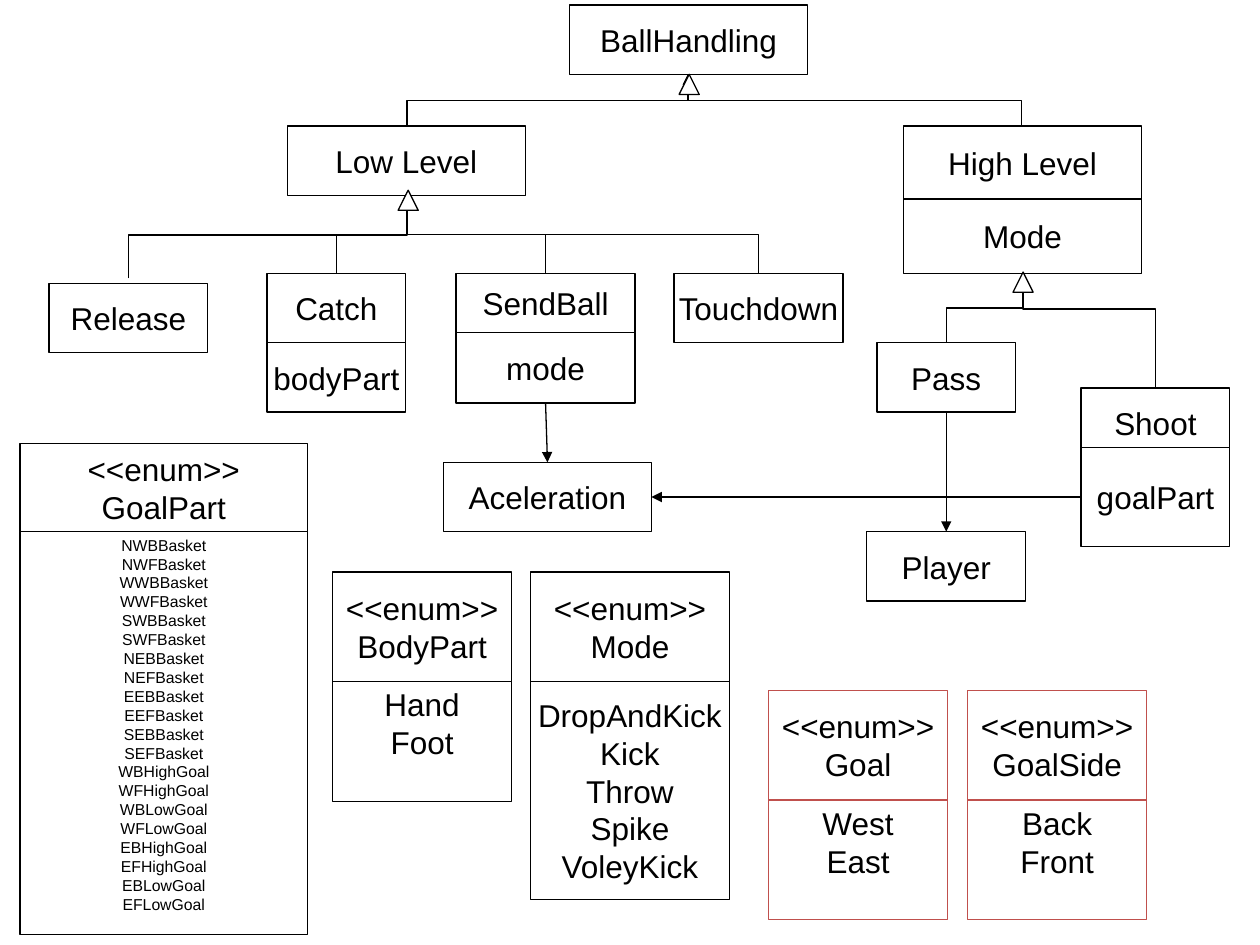
from lxml import etree
from pptx import Presentation
from pptx import util as u
from pptx.dml.color import RGBColor
from pptx.enum import shapes, text
from pptx.oxml.ns import qn

BLACK = RGBColor(0x00, 0x00, 0x00)
WHITE = RGBColor(0xFF, 0xFF, 0xFF)
RED = RGBColor(0xC0, 0x50, 0x4D)
TOP, LEFT, BOTTOM, RIGHT = range(4)
LINE_WIDTH = u.Pt(0.75)
NAME_HEIGHT = 0.55
ARROW_SIZE = 0.16

GOAL_PARTS = """NWBBasket NWFBasket WWBBasket WWFBasket SWBBasket SWFBasket
NEBBasket NEFBasket EEBBasket EEFBasket SEBBasket SEFBasket
WBHighGoal WFHighGoal WBLowGoal WFLowGoal
EBHighGoal EFHighGoal EBLowGoal EFLowGoal""".split()


def write_text(shape, lines, size=18, color=BLACK, anchor=text.MSO_ANCHOR.MIDDLE):
    """Write centred lines, one paragraph each."""
    frame = shape.text_frame
    frame.word_wrap = False
    frame.vertical_anchor = anchor
    if anchor == text.MSO_ANCHOR.TOP:
        frame.margin_top = u.Inches(0.03)
    for index, line in enumerate(lines):
        paragraph = frame.paragraphs[0] if index == 0 else frame.add_paragraph()
        paragraph.alignment = text.PP_ALIGN.CENTER
        paragraph.line_spacing = u.Pt(size * 1.2)
        run = paragraph.add_run()
        run.text = line
        run.font.name = "Arial"
        run.font.size = u.Pt(size)
        run.font.color.rgb = color


def add_outlined(slide, kind, left, top, width, height, color=BLACK):
    """Add a white shape with a thin outline."""
    shape = slide.shapes.add_shape(kind, *map(u.Inches, (left, top, width, height)))
    shape.shadow.inherit = False
    shape.fill.solid()
    shape.fill.fore_color.rgb = WHITE
    shape.line.color.rgb = color
    shape.line.width = LINE_WIDTH
    return shape


def add_compartment(slide, left, top, width, height, lines, color=BLACK, **text_format):
    rectangle = add_outlined(slide, shapes.MSO_SHAPE.RECTANGLE,
                             left, top, width, height, color)
    write_text(rectangle, lines, **text_format)
    return rectangle


def add_class(slide, left, top, width, name, attribute=None,
              heights=(NAME_HEIGHT, NAME_HEIGHT), overlap=0):
    """Add a class box and return its lowest compartment."""
    box = add_compartment(slide, left, top, width, heights[0], [name])
    if attribute:
        box = add_compartment(slide, left, top + heights[0] - overlap, width,
                              heights[1], [attribute])
    return box


def add_enum(slide, left, top, width, name, values, heights,
             color=BLACK, **value_format):
    add_compartment(slide, left, top, width, heights[0], ["<<enum>>", name], color)
    add_compartment(slide, left, top + heights[0], width, heights[1], values,
                    color, **value_format)


def style_connector(connector):
    """Thin black line with an arrowhead and no shadow."""
    connector.line.color.rgb = BLACK
    connector.line.width = LINE_WIDTH
    etree.SubElement(connector.line._get_or_add_ln(), qn("a:tailEnd"), type="triangle")
    etree.SubElement(connector._element.spPr, qn("a:effectLst"))


def add_association(slide, source, source_side, target, target_side):
    connector = slide.shapes.add_connector(shapes.MSO_CONNECTOR.STRAIGHT, 0, 0, 0, 0)
    connector.begin_connect(source, source_side)
    connector.end_connect(target, target_side)
    style_connector(connector)


def add_generalization(slide, child_x, child_y, parent_x, parent_y, bend=0.5):
    """Elbow that leaves the child upwards: a turned box with swapped sides."""
    length, spread = child_y - parent_y, abs(child_x - parent_x)
    left = (child_x + parent_x - length) / 2
    top = (child_y + parent_y - spread) / 2
    begin_x, end_x, turn = left, left + length, 270
    if child_x < parent_x:
        begin_x, end_x, turn = end_x, begin_x, 90
    connector = slide.shapes.add_connector(
        shapes.MSO_CONNECTOR.ELBOW,
        *map(u.Inches, (begin_x, top + spread, end_x, top)))
    properties = connector._element.spPr
    properties.find(qn("a:xfrm")).set("rot", str(turn * 60000))
    geometry = properties.find(qn("a:prstGeom"))
    guides = geometry.find(qn("a:avLst"))
    if guides is None:
        guides = etree.SubElement(geometry, qn("a:avLst"))
    etree.SubElement(guides, qn("a:gd"), name="adj1",
                     fmla=f"val {round(bend * 100000)}")
    style_connector(connector)


def add_inheritance_arrow(slide, center_x, top):
    add_outlined(slide, shapes.MSO_SHAPE.FLOWCHART_EXTRACT,
                 center_x - ARROW_SIZE / 2, top, ARROW_SIZE, ARROW_SIZE)


def build_enums(slide):
    at_top = text.MSO_ANCHOR.TOP
    short = (0.87, 0.95)
    add_enum(slide, 2.64, 4.54, 1.42, "BodyPart", ["Hand", "Foot"], short, anchor=at_top)
    add_enum(slide, 4.21, 4.54, 1.58, "Mode",
             ["DropAndKick", "Kick", "Throw", "Spike", "VoleyKick"], (0.87, 1.73))
    add_enum(slide, 0.16, 3.52, 2.28, "GoalPart", GOAL_PARTS, (0.7, 3.2),
             size=9, anchor=at_top)
    add_enum(slide, 6.1, 5.48, 1.42, "Goal", ["West", "East"], short, RED, anchor=at_top)
    add_enum(slide, 7.68, 5.48, 1.42, "GoalSide", ["Back", "Front"], short, RED,
             anchor=at_top)


def build_hierarchy(slide):
    # Classes
    add_class(slide, 4.52, 0.04, 1.89, "BallHandling")
    add_class(slide, 2.28, 1, 1.89, "Low Level")
    add_class(slide, 0.39, 2.25, 1.26, "Release")
    add_class(slide, 2.12, 2.17, 1.1, "Catch", "bodyPart")
    send_ball = add_class(slide, 3.62, 2.17, 1.42, "SendBall", "mode", (0.47, 0.56))
    passing = add_class(slide, 6.96, 2.72, 1.1, "Pass")
    player = add_class(slide, 6.88, 4.22, 1.26, "Player")
    add_class(slide, 5.35, 2.17, 1.34, "Touchdown")
    shoot = add_class(slide, 8.58, 3.08, 1.18, "Shoot", "goalPart", (0.55, 0.79),
                      overlap=0.08)

    # Generalizations, from child to parent
    ball_handling, low_level, high_level = (5.46, 0.59), (3.23, 1.55), (8.12, 2.17)
    for child_x in (3.23, 8.11):
        add_generalization(slide, child_x, 1, *ball_handling)
    add_generalization(slide, 1.02, 2.21, 3.23, 1.52)
    for child_x in (2.67, 4.33, 6.02):
        add_generalization(slide, child_x, 2.17, *low_level)
    add_generalization(slide, 7.51, 2.72, *high_level)
    add_generalization(slide, 9.17, 3.08, *high_level, bend=0.69)

    # Hollow arrowheads lie over the line ends
    add_inheritance_arrow(slide, 5.47, 0.59)
    add_inheritance_arrow(slide, 3.24, 1.51)
    add_class(slide, 7.17, 1, 1.89, "High Level", "Mode", (0.58, 0.59))
    add_inheritance_arrow(slide, 8.12, 2.16)

    # Associations
    acceleration = add_class(slide, 3.52, 3.67, 1.65, "Aceleration")
    add_association(slide, send_ball, BOTTOM, acceleration, TOP)
    add_association(slide, shoot, LEFT, acceleration, RIGHT)
    add_association(slide, passing, BOTTOM, player, TOP)


def main():
    presentation = Presentation()
    presentation.slide_width = u.Inches(10)
    presentation.slide_height = u.Inches(7.5)
    slide = presentation.slides.add_slide(presentation.slide_layouts[6])
    build_enums(slide)
    build_hierarchy(slide)
    presentation.save("out.pptx")


if __name__ == "__main__":
    main()
